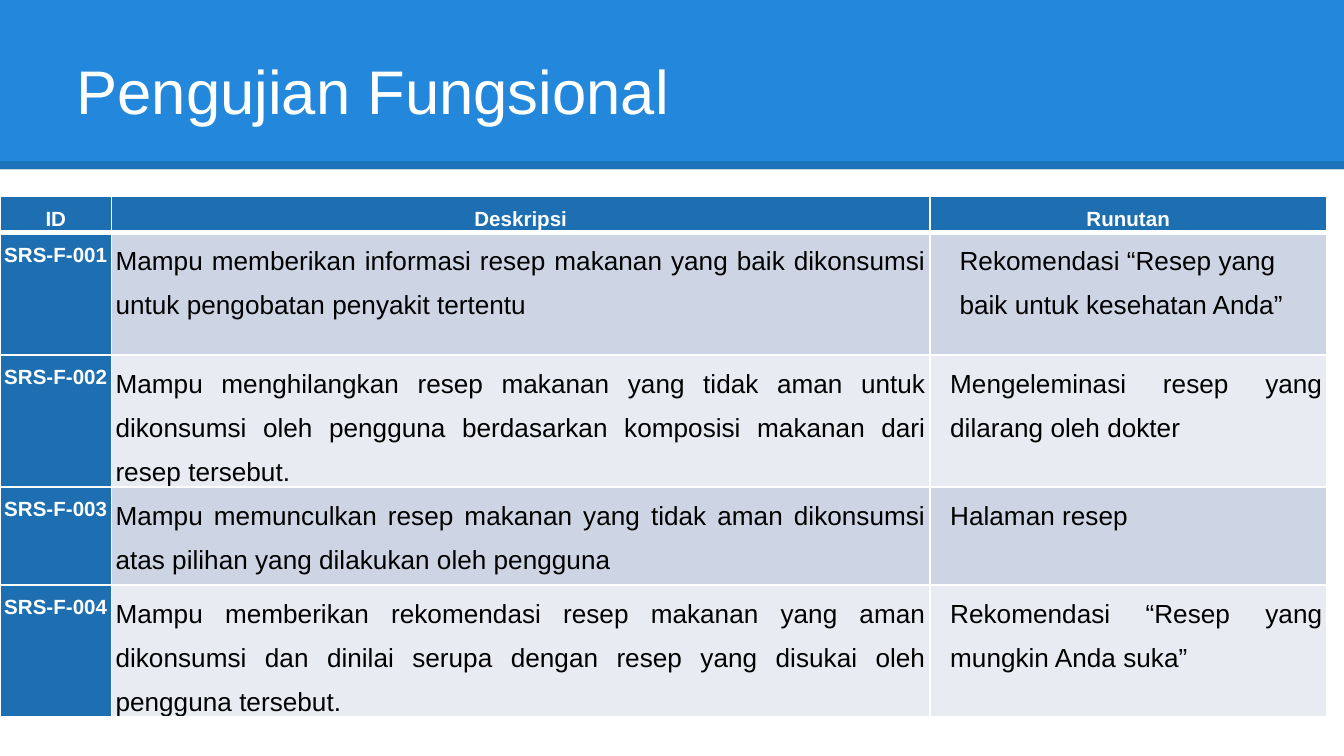
"""Build the functional testing slide with its requirements table."""
import pptx
import pptx.dml.color
import pptx.enum.shapes
import pptx.enum.text
import pptx.oxml
import pptx.oxml.ns
import pptx.util
from lxml import etree

COLORS = {
    "band": "2388DB",
    "header": "1D6FB2",
    "odd": "CDD5E4",
    "even": "E8EBF2",
    "white": "FFFFFF",
    "black": "000000",
}
FONT = "Arial"
Inches = pptx.util.Inches
Align = pptx.enum.text.PP_ALIGN


def rgb(name):
    return pptx.dml.color.RGBColor.from_string(COLORS[name])


def add_text(paragraph, text, size, color, bold=False):
    run = paragraph.add_run()
    run.text = text
    run.font.name = FONT
    run.font.size = pptx.util.Pt(size)
    run.font.bold = bold
    run.font.color.rgb = rgb(color)


presentation = pptx.Presentation()
width = Inches(10)
presentation.slide_width = width
presentation.slide_height = width * 9 // 16
slide = presentation.slides.add_slide(presentation.slide_layouts[5])
title = slide.shapes.title

band = slide.shapes.add_shape(
    pptx.enum.shapes.MSO_SHAPE.RECTANGLE, 0, 0, width, Inches(1.26))
band.shadow.inherit = False
band.fill.solid()
band.fill.fore_color.rgb = rgb("band")
band.line.fill.background()

rule = slide.shapes.add_connector(
    pptx.enum.shapes.MSO_CONNECTOR.STRAIGHT, 0, Inches(1.23), width, Inches(1.23))
rule.line.width = pptx.util.Pt(4.5)
rule.line.color.rgb = rgb("black")
rule_properties = rule.element.spPr
rule_color = rule_properties.find(".//" + pptx.oxml.ns.qn("a:srgbClr"))
etree.SubElement(rule_color, pptx.oxml.ns.qn("a:alpha"), val="15000")
etree.SubElement(rule_properties, pptx.oxml.ns.qn("a:effectLst"))

for shape in (band, rule):
    title.element.addprevious(shape.element)

title.left, title.top = int(width * 0.05), Inches(0.23)
title.width, title.height = int(width * 0.9), Inches(0.94)
frame = title.text_frame
frame.word_wrap = True
frame.auto_size = pptx.enum.text.MSO_AUTO_SIZE.NONE
frame.vertical_anchor = pptx.enum.text.MSO_ANCHOR.MIDDLE
frame.margin_left = frame.margin_right = Inches(0.07)
frame.margin_top = frame.margin_bottom = Inches(0.04)
paragraph = frame.paragraphs[0]
paragraph.alignment = Align.LEFT
paragraph.line_spacing = 0.9
add_text(paragraph, "Pengujian Fungsional", 33, "white")

rows = [
    ("ID", "Deskripsi", "Runutan"),
    ("SRS-F-001",
     "Mampu memberikan informasi resep makanan yang baik dikonsumsi untuk pengobatan penyakit tertentu",
     "Rekomendasi “Resep yang baik untuk kesehatan Anda”"),
    ("SRS-F-002",
     "Mampu menghilangkan resep makanan yang tidak aman untuk dikonsumsi oleh pengguna "
     "berdasarkan komposisi makanan dari resep tersebut.",
     "Mengeleminasi resep yang dilarang oleh dokter"),
    ("SRS-F-003",
     "Mampu memunculkan resep makanan yang tidak aman dikonsumsi atas pilihan yang dilakukan oleh pengguna",
     "Halaman resep"),
    ("SRS-F-004",
     "Mampu memberikan rekomendasi resep makanan yang aman dikonsumsi dan dinilai serupa "
     "dengan resep yang disukai oleh pengguna tersebut.",
     "Rekomendasi “Resep yang mungkin Anda suka”"),
]
column_widths = [0.83, 6.09, 2.95]
row_heights = [0.27, 0.91, 0.91, 0.73, 0.91]
table = slide.shapes.add_table(
    len(rows), len(column_widths), 0, Inches(1.46),
    Inches(sum(column_widths)), Inches(sum(row_heights))).table
for column, column_width in zip(table.columns, column_widths):
    column.width = Inches(column_width)
for row, row_height in zip(table.rows, row_heights):
    row.height = Inches(row_height)

for row_index, texts in enumerate(rows):
    for column_index, text in enumerate(texts):
        cell = table.cell(row_index, column_index)
        heading = row_index == 0 or column_index == 0
        cell.margin_left = cell.margin_right = Inches(0.03)
        cell.margin_top = cell.margin_bottom = 0

        cell_properties = cell._tc.get_or_add_tcPr()
        for side in "LRTB":
            thick = (row_index, side) in ((0, "B"), (1, "T"))
            border_width = pptx.util.Pt(3 if thick else 1)
            cell_properties.append(pptx.oxml.parse_xml(
                f'<a:ln{side} {pptx.oxml.ns.nsdecls("a")} w="{border_width}"><a:solidFill>'
                f'<a:srgbClr val="{COLORS["white"]}"/></a:solidFill></a:ln{side}>'))
        cell.fill.solid()
        cell.fill.fore_color.rgb = rgb(
            "header" if heading else "odd" if row_index % 2 else "even")

        paragraph = cell.text_frame.paragraphs[0]
        paragraph.line_spacing = 1.5
        paragraph.alignment = Align.CENTER if heading else Align.JUSTIFY
        if column_index == 2 and not heading:
            first = row_index == 1
            indent = Inches(0.19 if first else 0.12)
            paragraph._p.get_or_add_pPr().set("marL", str(indent))
            if first:
                paragraph.level = 2
                paragraph.alignment = Align.LEFT
        if heading:
            add_text(paragraph, text, 11, "white", bold=True)
        else:
            add_text(paragraph, text, 14, "black")

presentation.save("out.pptx")
